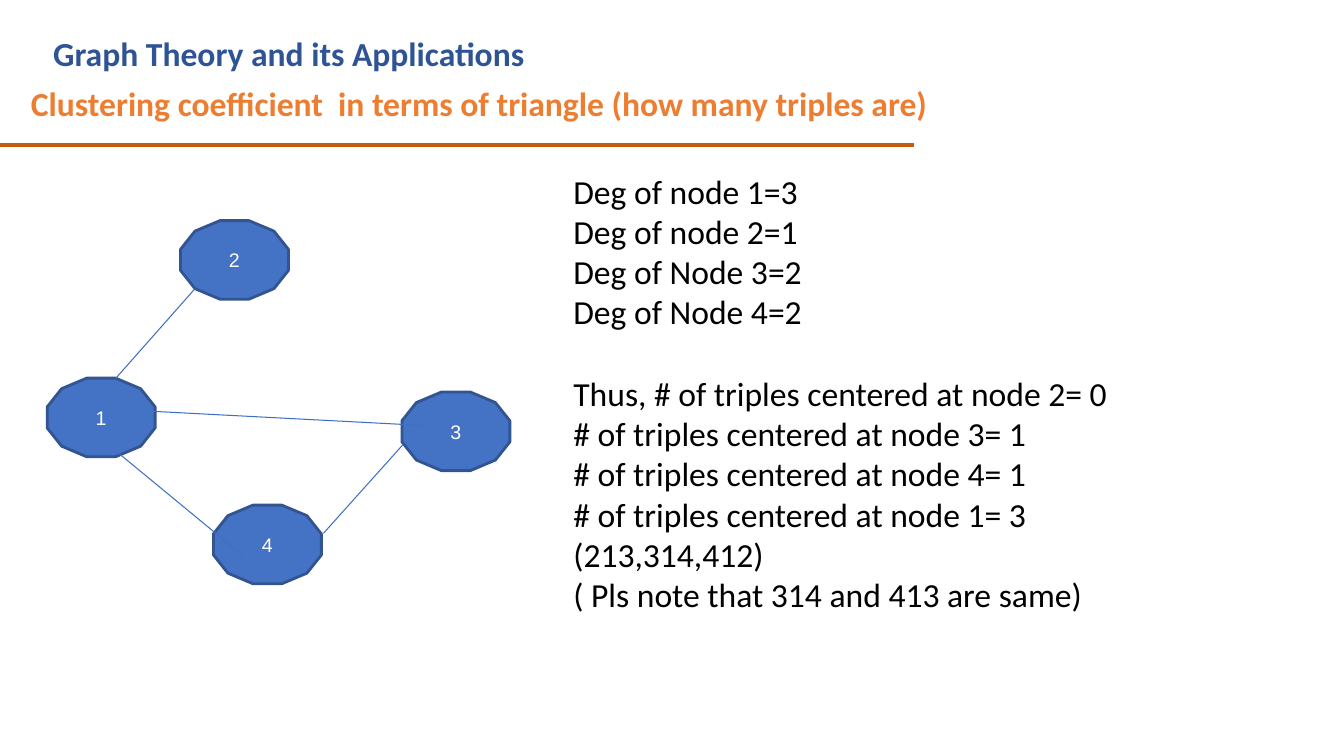
from dataclasses import dataclass

from lxml import etree
from pptx import Presentation
from pptx.dml.color import RGBColor
from pptx.enum import shapes, text
from pptx.oxml import ns
from pptx.util import Cm, Pt


@dataclass(frozen=True)
class Theme:
    course: str = "2F5496"
    topic: str = "ED7D31"
    rule: str = "C55A11"
    body: str = "000000"
    node_fill: str = "4472C4"
    node_line: str = "325491"
    node_text: str = "FFFFFF"
    edge: str = "3F6FC3"
    text_font: str = "Calibri"
    node_font: str = "Arial"
    text_size: int = 24
    node_size: int = 14
    gap: float = 29.3


THEME = Theme()
NODE_WIDTH, NODE_HEIGHT = 2.72, 1.98

# Left and top of each node, in centimetres
NODES = {
    "2": (4.55, 5.56),
    "3": (10.13, 9.88),
    "4": (5.38, 12.73),
    "1": (1.19, 9.53),
}
# Start and end of each edge, in centimetres
EDGES = [
    ((4.9, 7.29), (2.92, 9.53)),
    ((10.16, 11.2), (8.15, 13.44)),
    ((10.64, 10.72), (3.76, 10.36)),
    ((6.12, 14.0), (3.0, 11.43)),
]
DEGREES = [
    "Deg of node 1=3",
    "Deg of node 2=1",
    "Deg of Node 3=2",
    "Deg of Node 4=2",
]
TRIPLES = [
    "Thus, # of triples centered at node 2= 0",
    "# of triples centered at node 3= 1",
    "# of triples centered at node 4= 1",
    "# of triples centered at node 1= 3 (213,314,412)",
    "( Pls note that 314 and 413 are same)",
]


def add_span(para, words, font, size, color, bold=False):
    span = para.add_run()
    span.text = words
    span.font.name = font
    span.font.size = Pt(size)
    span.font.bold = bold
    span.font.color.rgb = RGBColor.from_string(color)


def add_text(page, left, top, width, height, groups, color, bold=False):
    """Write groups of lines, one paragraph a line, with a gap between groups."""
    box = page.shapes.add_textbox(Cm(left), Cm(top), Cm(width), Cm(height))
    frame = box.text_frame
    frame.word_wrap = True
    para = None
    for group in groups:
        for index, line in enumerate(group):
            if para is None:
                para = frame.paragraphs[0]
            else:
                para = frame.add_paragraph()
                if index == 0:
                    para.space_before = Pt(THEME.gap)
            add_span(para, line, THEME.text_font, THEME.text_size, color, bold)


def add_line(page, start, end, color, width):
    line = page.shapes.add_connector(
        shapes.MSO_CONNECTOR.STRAIGHT, *map(Cm, start), *map(Cm, end))
    line.line.color.rgb = RGBColor.from_string(color)
    line.line.width = Pt(width)
    etree.SubElement(line._element.spPr, ns.qn("a:effectLst"))


def add_node(page, label, left, top):
    node = page.shapes.add_shape(
        shapes.MSO_SHAPE.DODECAGON,
        Cm(left), Cm(top), Cm(NODE_WIDTH), Cm(NODE_HEIGHT))
    node.shadow.inherit = False
    node.fill.solid()
    node.fill.fore_color.rgb = RGBColor.from_string(THEME.node_fill)
    node.line.color.rgb = RGBColor.from_string(THEME.node_line)
    node.line.width = Pt(2)
    node.text_frame.vertical_anchor = text.MSO_ANCHOR.MIDDLE
    para = node.text_frame.paragraphs[0]
    para.alignment = text.PP_ALIGN.CENTER
    add_span(para, label, THEME.node_font, THEME.node_size, THEME.node_text)


def main():
    deck = Presentation()
    deck.slide_width, deck.slide_height = Cm(33.87), Cm(19.05)
    page = deck.slides.add_slide(deck.slide_layouts[6])

    add_line(page, (0, 3.66), (23.04, 3.66), THEME.rule, 3)
    add_text(page, 1.09, 0.71, 20.83, 1.27,
             [["Graph Theory and its Applications"]], THEME.course, bold=True)
    add_text(page, 0.53, 1.96, 27.76, 1.27,
             [["Clustering coefficient  in terms of triangle (how many triples are)"]],
             THEME.topic, bold=True)
    for label, (left, top) in NODES.items():
        add_node(page, label, left, top)
    for start, end in EDGES:
        add_line(page, start, end, THEME.edge, 0.75)
    add_text(page, 14.2, 4.17, 16.46, 13.59, [DEGREES, TRIPLES], THEME.body)

    deck.save("out.pptx")


if __name__ == "__main__":
    main()
